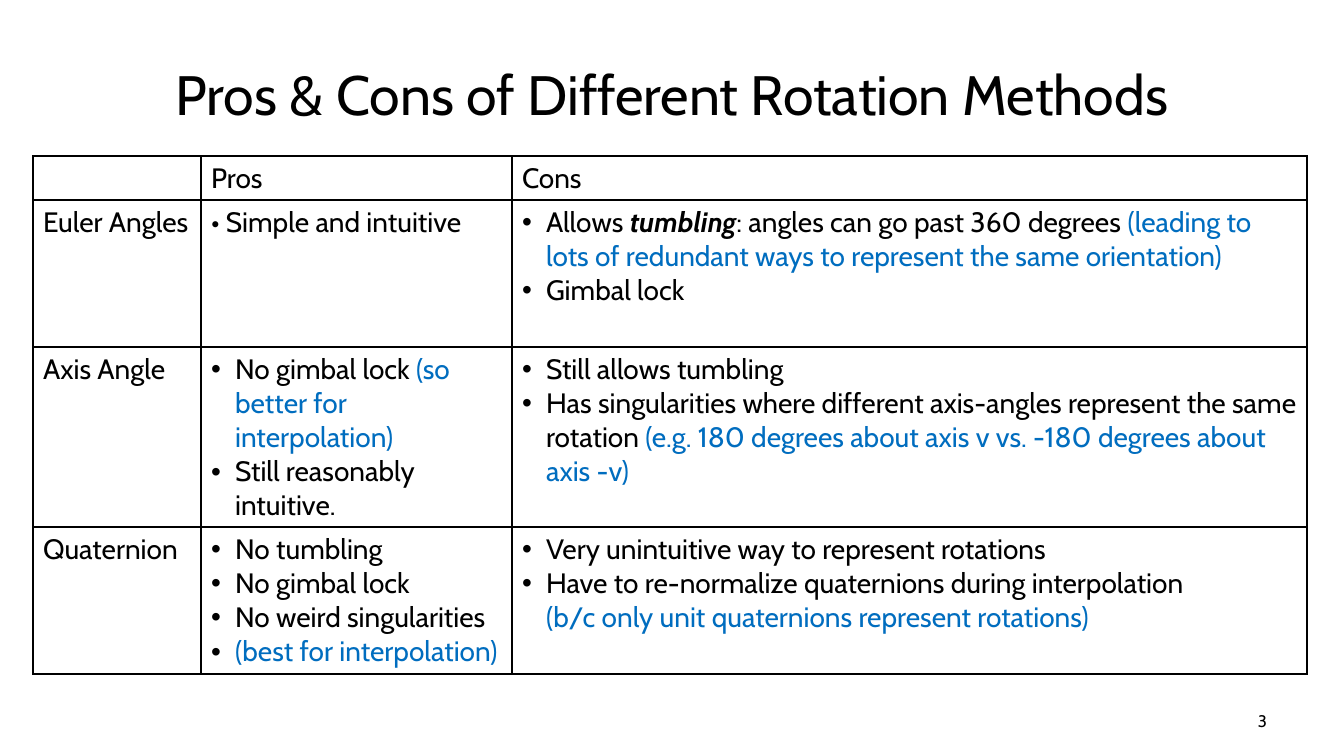
from pptx import Presentation
from pptx.dml.color import RGBColor as Rgb
from pptx.enum.text import MSO_ANCHOR as Anchor, PP_ALIGN as Align
from pptx.oxml import parse_xml
from pptx.oxml.ns import nsdecls
from pptx.util import Pt

TITLE = "Pros & Cons of Different Rotation Methods"
PAGE = "3"

ROWS = [
    ("", "Pros", "Cons"),
    (
        "Euler Angles",
        "• Simple and intuitive",
        [
            [
                "Allows ",
                ("tumbling", "strong"),
                ": angles can go past 360 degrees ",
                ("(leading to lots of redundant ways to represent the same orientation)", "note"),
            ],
            ["Gimbal lock"],
        ],
    ),
    (
        "Axis Angle",
        [
            ["No gimbal lock ", ("(so better for interpolation)", "note")],
            ["Still reasonably intuitive."],
        ],
        [
            ["Still allows tumbling"],
            [
                "Has singularities where different axis-angles represent the same rotation ",
                ("(e.g. 180 degrees about axis v vs. -180 degrees about axis -v)", "note"),
            ],
        ],
    ),
    (
        "Quaternion",
        [
            ["No tumbling"],
            ["No gimbal lock"],
            ["No weird singularities"],
            [("(best for interpolation)", "note")],
        ],
        [
            ["Very unintuitive way to represent rotations"],
            [
                "Have to re-normalize quaternions during interpolation\n",
                ("(b/c only unit quaternions represent rotations)", "note"),
            ],
        ],
    ),
]

THEME = {
    "font": "Cabin",
    "ink": "000000",
    "note": "006DBF",
    "title": 39.6,
    "body": 20,
    "page": 12,
    "rule": 1,
}

SLIDE = (1344, 756)
HEAD = (67, 30, 1210, 126)
FOOT = (964, 701, 313, 40)
GRID = (33, 156)
WIDTHS = (168, 311, 795)
HEIGHTS = (44, 147, 180, 147)
INDENT = 24


def px(num):
    return round(num * 914400 / 100.8)


def write(frame, paras, *, size, align=Align.LEFT, bullet=False):
    frame.word_wrap = True
    for idx, runs in enumerate(paras):
        para = frame.add_paragraph() if idx else frame.paragraphs[0]
        para.alignment = align
        if bullet:
            props = para._p.get_or_add_pPr()
            props.set("marL", str(px(INDENT)))
            props.set("indent", str(-px(INDENT)))
            for tag in (
                f'<a:buClr {nsdecls("a")}><a:srgbClr val="{THEME["ink"]}"/></a:buClr>',
                f'<a:buFont {nsdecls("a")} typeface="Arial"/>',
                f'<a:buChar {nsdecls("a")} char="•"/>',
            ):
                props.append(parse_xml(tag))
        for part in runs:
            text, style = (part, "") if isinstance(part, str) else part
            run = para.add_run()
            run.text = text.rstrip("\n")
            font = run.font
            font.name = THEME["font"]
            font.size = Pt(size)
            font.bold = font.italic = style == "strong"
            font.color.rgb = Rgb.from_string(THEME["note" if style == "note" else "ink"])
            if text.endswith("\n"):
                para.add_line_break()


def label(slide, box, text, **form):
    frame = slide.shapes.add_textbox(*map(px, box)).text_frame
    frame.vertical_anchor = Anchor.MIDDLE
    write(frame, [[text]], **form)


def frame_cell(cell):
    props = cell._tc.get_or_add_tcPr()
    for side in "LRTB":
        props.append(parse_xml(
            f'<a:ln{side} {nsdecls("a")} w="{Pt(THEME["rule"])}"><a:solidFill>'
            f'<a:srgbClr val="{THEME["ink"]}"/></a:solidFill></a:ln{side}>'
        ))
    cell.fill.background()


def add_grid(slide):
    size = (sum(WIDTHS), sum(HEIGHTS))
    table = slide.shapes.add_table(len(ROWS), len(WIDTHS), *map(px, GRID + size)).table
    table.first_row = table.horz_banding = False
    for col, wide in zip(table.columns, WIDTHS):
        col.width = px(wide)
    for row, high, items in zip(table.rows, HEIGHTS, ROWS):
        row.height = px(high)
        for cell, item in zip(row.cells, items):
            frame_cell(cell)
            if item:
                plain = isinstance(item, str)
                write(cell.text_frame, [[item]] if plain else item,
                      size=THEME["body"], bullet=not plain)


def main():
    deck = Presentation()
    deck.slide_width, deck.slide_height = map(px, SLIDE)
    slide = deck.slides.add_slide(deck.slide_layouts[6])
    label(slide, HEAD, TITLE, size=THEME["title"], align=Align.CENTER)
    label(slide, FOOT, PAGE, size=THEME["page"], align=Align.RIGHT)
    add_grid(slide)
    deck.save("out.pptx")


if __name__ == "__main__":
    main()
